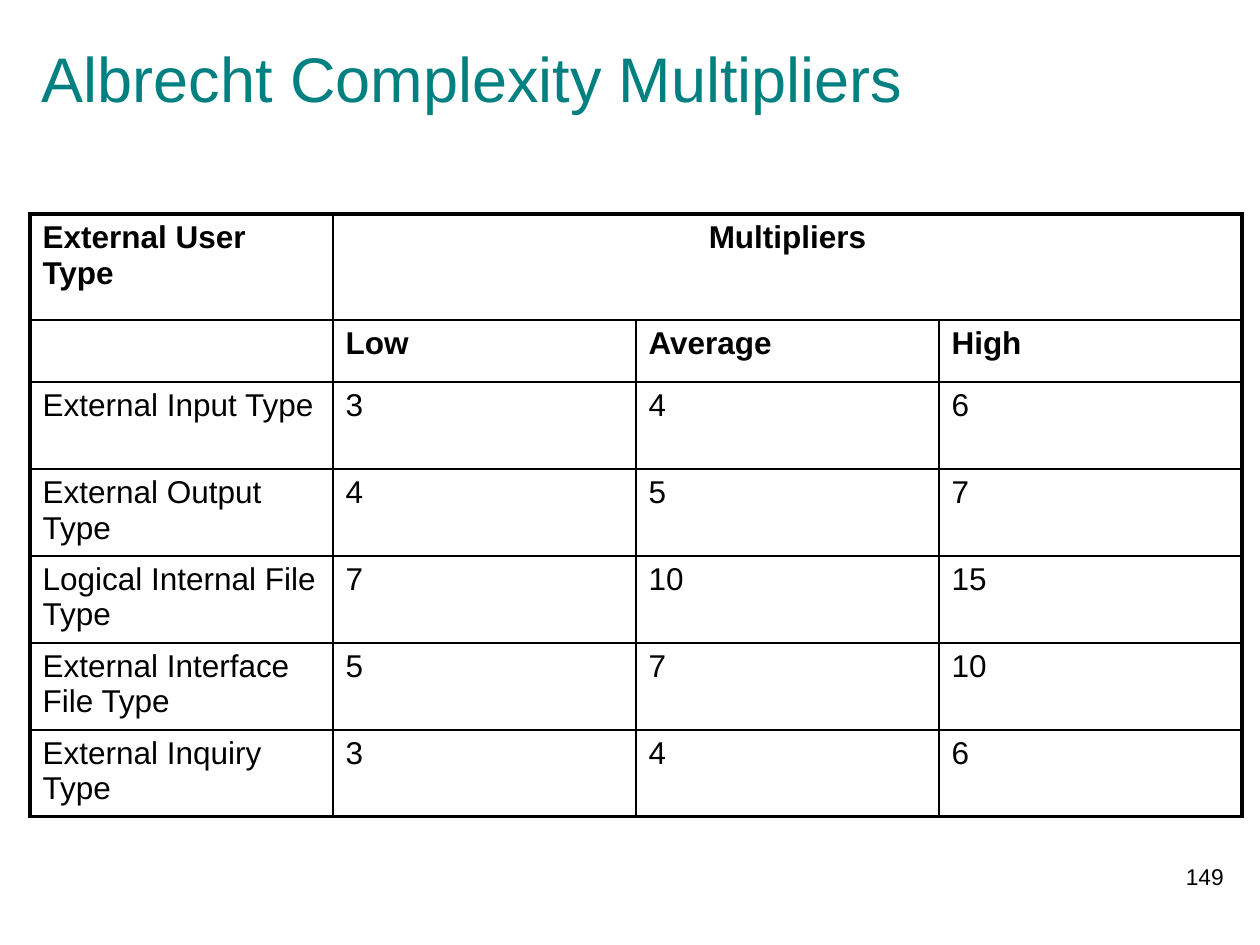
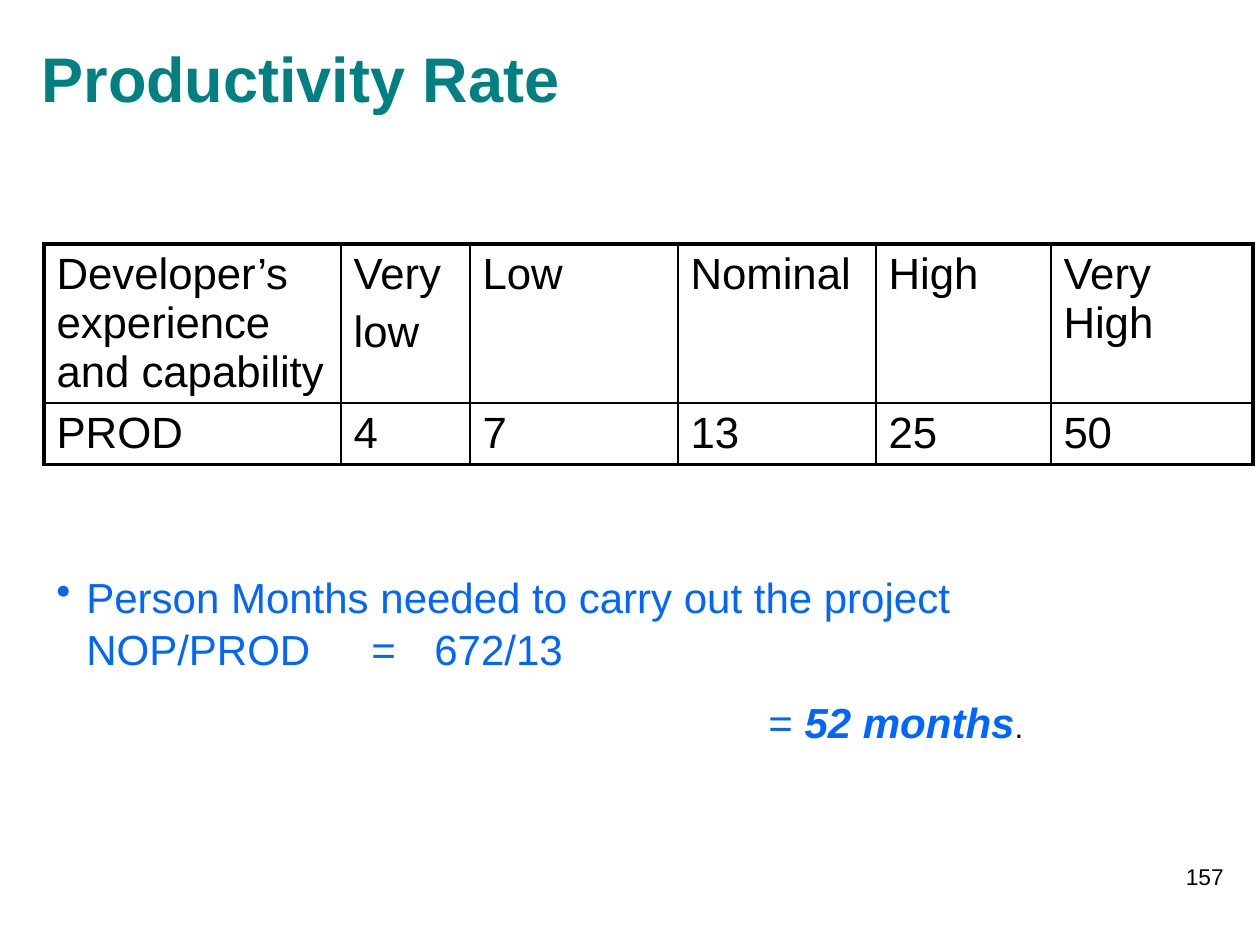
"""Build two slides on complexity multipliers and productivity rate."""
from lxml.etree import SubElement
from pptx import Presentation
from pptx.dml.color import RGBColor
from pptx.enum.text import MSO_ANCHOR as Anchor, PP_ALIGN as Align
from pptx.oxml.ns import qn
from pptx.util import Emu, Pt

TEAL = RGBColor(0x00, 0x80, 0x80)
BLUE = RGBColor(0x00, 0x66, 0xFF)
BLACK = RGBColor(0x00, 0x00, 0x00)
FONT = "Arial"
PX = 914400 / 126
TITLE_BOX = (29, 19, 1012, 117)
NUMBER_BOX = (974, 857, 262, 63)
OUTER, INNER = 2.25, 1

MULTIPLIERS = {
    "title": "Albrecht Complexity Multipliers",
    "bold_title": False,
    "number": "149",
    "corner": (30, 214),
    "columns": [303] * 4,
    "heights": [106, 62] + [87] * 5,
    "size": 18,
    "bold_rows": 2,
    "merges": [(0, 1, 3)],
    "rows": [
        ["External User Type", "Multipliers", "", ""],
        ["", "Low", "Average", "High"],
        ["External Input Type", "3", "4", "6"],
        ["External Output Type", "4", "5", "7"],
        ["Logical Internal File Type", "7", "10", "15"],
        ["External Interface File Type", "5", "7", "10"],
        ["External Inquiry Type", "3", "4", "6"],
    ],
}
PRODUCTIVITY = {
    "title": "Productivity Rate",
    "bold_title": True,
    "number": "157",
    "corner": (44, 244),
    "columns": [297, 129, 208, 198, 175, 202],
    "heights": [159, 61],
    "size": 25,
    "bold_rows": 0,
    "merges": [],
    "rows": [
        ["Developer’s experience and capability", "Very\nlow", "Low",
         "Nominal", "High", "Very High"],
        ["PROD", "4", "7", "13", "25", "50"],
    ],
}
EFFORT_BOX = (44, 565, 1160, 190)
EFFORT = [
    {"text": "Person Months needed to carry out the project",
     "margin": 30, "indent": -30, "bullet": "•"},
    {"text": "NOP/PROD\t=\t672/13", "indent": 30, "tabs": [460, 504],
     "before": 1},
    {"text": "= ", "margin": 712, "before": 13},
]
RESULT = "52 months"


def px(length):
    """Turn pixels into EMU."""
    return Emu(round(length * PX))


def add_run(paragraph, text, size=18, color=BLACK, bold=False, italic=False):
    """Append one formatted run."""
    run = paragraph.add_run()
    run.text = text
    font = run.font
    font.name, font.size, font.bold, font.italic = FONT, Pt(size), bold, italic
    font.color.rgb = color


def write(frame, text, align=Align.LEFT, before=0, **run_format):
    """Fill a text frame, one paragraph to each line of text."""
    frame.word_wrap = True
    for index, line in enumerate(text.split("\n")):
        paragraph = frame.add_paragraph() if index else frame.paragraphs[0]
        paragraph.alignment = align
        paragraph.space_before = Pt(before if index else 0)
        if line:
            add_run(paragraph, line, **run_format)


def set_layout(paragraph, margin=0, indent=0, bullet=None, tabs=()):
    """Set indents, bullet and tab stops of a paragraph."""
    properties = paragraph._p.get_or_add_pPr()
    properties.set("marL", str(px(margin)))
    properties.set("indent", str(px(indent)))
    if bullet:
        SubElement(properties, qn("a:buChar"), char=bullet)
    else:
        SubElement(properties, qn("a:buNone"))
    if tabs:
        stops = SubElement(properties, qn("a:tabLst"))
        for stop in tabs:
            SubElement(stops, qn("a:tab"), pos=str(px(stop)), algn="l")


def set_borders(cell, widths):
    """Draw black cell borders from a dict of side and width."""
    properties = cell._tc.get_or_add_tcPr()
    for side, width in widths.items():
        line = SubElement(properties, qn(f"a:ln{side}"), w=str(Pt(width)))
        fill = SubElement(line, qn("a:solidFill"))
        SubElement(fill, qn("a:srgbClr"), val=str(BLACK))


def add_grid(slide, content):
    """Add the table with a heavy outline and thin inner lines."""
    rows, columns, heights = (content[key] for key in ("rows", "columns", "heights"))
    box = map(px, (*content["corner"], sum(columns), sum(heights)))
    table = slide.shapes.add_table(len(rows), len(columns), *box).table
    table.first_row = table.horz_banding = False
    for column, width in zip(table.columns, columns):
        column.width = px(width)
    for row, height in zip(table.rows, heights):
        row.height = px(height)
    for r, first, last in content["merges"]:
        table.cell(r, first).merge(table.cell(r, last))
    for r, texts in enumerate(rows):
        for c, text in enumerate(texts):
            cell = table.cell(r, c)
            if cell.is_spanned:
                continue
            edges = {"L": c == 0, "R": c + cell.span_width == len(columns),
                     "T": r == 0, "B": r == len(rows) - 1}
            set_borders(cell, {side: OUTER if edge else INNER
                               for side, edge in edges.items()})
            cell.fill.background()
            write(cell.text_frame, text, size=content["size"],
                  bold=r < content["bold_rows"], before=content["size"] * 0.2,
                  align=Align.CENTER if cell.is_merge_origin else Align.LEFT)


def add_effort(slide):
    """Add the effort calculation below the table."""
    frame = slide.shapes.add_textbox(*map(px, EFFORT_BOX)).text_frame
    frame.word_wrap = True
    for index, item in enumerate(EFFORT):
        paragraph = frame.add_paragraph() if index else frame.paragraphs[0]
        layout = dict(item)
        text = layout.pop("text")
        paragraph.space_before = Pt(layout.pop("before", 0))
        set_layout(paragraph, **layout)
        add_run(paragraph, text, size=24, color=BLUE)
    add_run(paragraph, RESULT, size=24, color=BLUE, bold=True, italic=True)
    add_run(paragraph, ".")


def add_slide(presentation, content):
    """Add a slide with its title, table and page number."""
    slide = presentation.slides.add_slide(presentation.slide_layouts[5])
    title = slide.shapes.title
    title.left, title.top, title.width, title.height = map(px, TITLE_BOX)
    title.text_frame.vertical_anchor = Anchor.MIDDLE
    write(title.text_frame, content["title"], size=36, color=TEAL,
          bold=content["bold_title"])
    add_grid(slide, content)
    number = slide.shapes.add_textbox(*map(px, NUMBER_BOX))
    write(number.text_frame, content["number"], size=13, align=Align.RIGHT)
    return slide


def main():
    """Build and save the presentation."""
    presentation = Presentation()
    presentation.slide_width, presentation.slide_height = px(1260), px(945)
    add_slide(presentation, MULTIPLIERS)
    add_effort(add_slide(presentation, PRODUCTIVITY))
    presentation.save("out.pptx")


if __name__ == "__main__":
    main()
